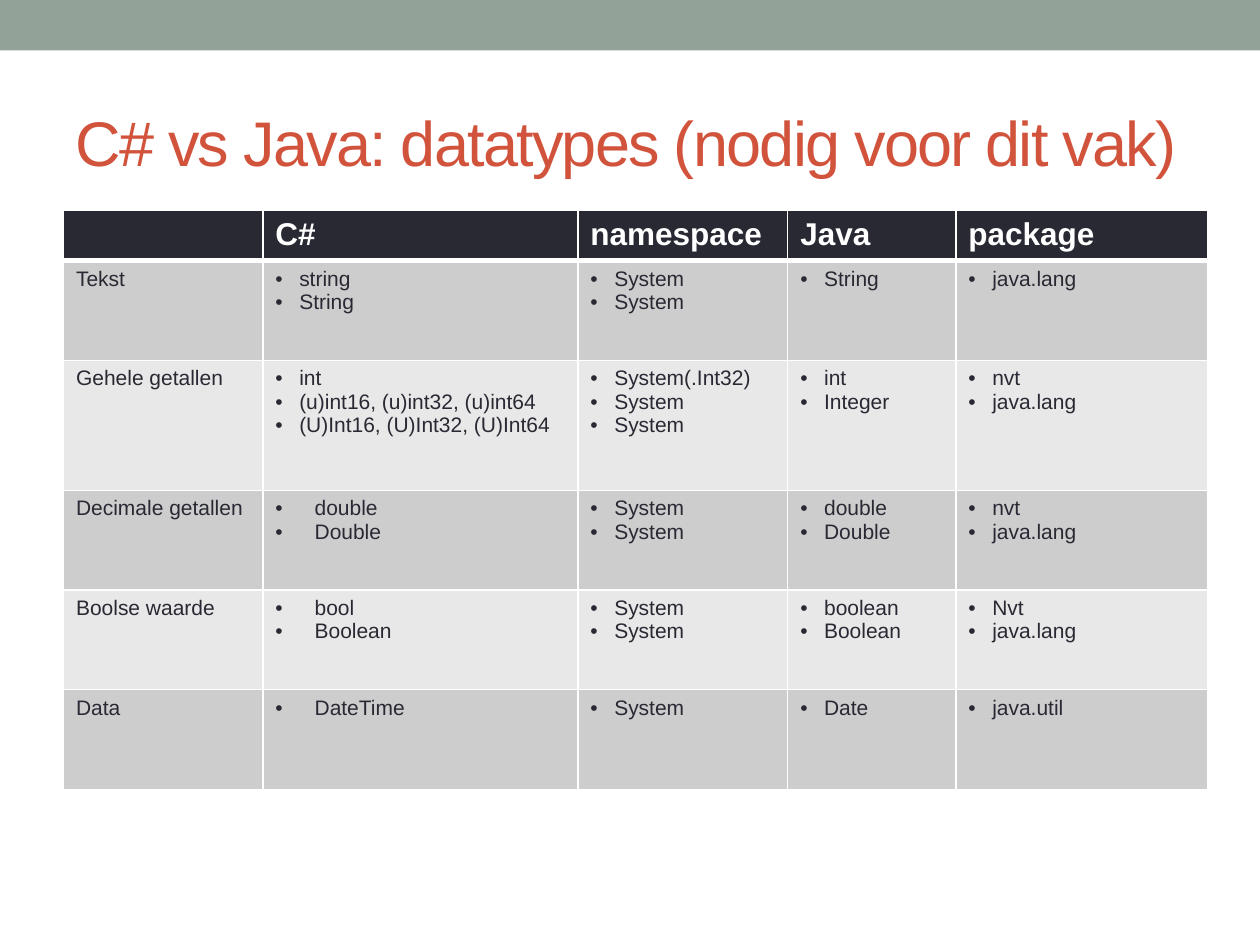
from dataclasses import dataclass

from lxml.etree import SubElement
from pptx import Presentation
from pptx.dml.color import RGBColor
from pptx.enum.shapes import MSO_SHAPE
from pptx.enum.text import MSO_ANCHOR
from pptx.oxml.ns import qn
from pptx.util import Cm, Pt


@dataclass(frozen=True)
class Theme:
    font: str = "Arial"
    band: str = "93A299"
    title: str = "D2533C"
    dark: str = "292934"
    light: str = "FFFFFF"
    row_fills: tuple = ("CDCDCE", "E8E8E8")
    title_size: int = 36
    header_size: int = 18
    body_size: int = 12
    grid_line: int = 1
    header_line: int = 3


HEADERS = ["", "C#", "namespace", "Java", "package"]
ROWS = [
    ["Tekst", ["string", "String"], ["System", "System"], ["String"], ["java.lang"]],
    ["Gehele getallen",
     ["int", "(u)int16, (u)int32, (u)int64", "(U)Int16, (U)Int32, (U)Int64"],
     ["System(.Int32)", "System", "System"], ["int", "Integer"], ["nvt", "java.lang"]],
    ["Decimale getallen", ["double", "Double"], ["System", "System"],
     ["double", "Double"], ["nvt", "java.lang"]],
    ["Boolse waarde", ["bool", "Boolean"], ["System", "System"],
     ["boolean", "Boolean"], ["Nvt", "java.lang"]],
    ["Data", ["DateTime"], ["System"], ["Date"], ["java.util"]],
]
COLUMN_WIDTHS = [4.02, 6.35, 4.23, 3.39, 5.08]
ROW_HEIGHTS = [0.95, 2.01, 2.62, 2.01, 2.01, 2.01]
NARROW_INDENT, WIDE_INDENT = 0.48, 0.79
FIRST_WIDE_ROW = 3


class SlideBuilder:
    def __init__(self, slide, theme):
        self.slide = slide
        self.theme = theme

    def style(self, paragraph, size, color, bold=False):
        font = paragraph.font
        font.name = self.theme.font
        font.size = Pt(size)
        font.bold = bold
        font.color.rgb = RGBColor.from_string(color)

    def band(self, width, height):
        shape = self.slide.shapes.add_shape(MSO_SHAPE.RECTANGLE, 0, 0, width, height)
        shape.shadow.inherit = False
        shape.fill.solid()
        shape.fill.fore_color.rgb = RGBColor.from_string(self.theme.band)
        shape.line.fill.background()

    def title(self, text, left, top, width, height):
        frame = self.slide.shapes.add_textbox(left, top, width, height).text_frame
        frame.word_wrap = True
        frame.vertical_anchor = MSO_ANCHOR.MIDDLE
        paragraph = frame.paragraphs[0]
        paragraph.text = text
        self.style(paragraph, self.theme.title_size, self.theme.title)
        paragraph.font._element.set("spc", "-100")

    def bullet(self, paragraph, indent):
        properties = paragraph._p.get_or_add_pPr()
        properties.set("marL", str(Cm(indent)))
        properties.set("indent", str(-Cm(indent)))
        SubElement(properties, qn("a:buFont")).set("typeface", self.theme.font)
        SubElement(properties, qn("a:buChar")).set("char", "•")

    def cell_box(self, cell, fill, top_line, bottom_line):
        """Give a cell its borders and then its fill, the order the schema asks for."""
        properties = cell._tc.get_or_add_tcPr()
        grid = self.theme.grid_line
        for side, width in zip("LRTB", (grid, grid, top_line, bottom_line)):
            line = SubElement(properties, qn(f"a:ln{side}"), w=str(Pt(width)))
            solid = SubElement(line, qn("a:solidFill"))
            SubElement(solid, qn("a:srgbClr")).set("val", self.theme.light)
        cell.fill.solid()
        cell.fill.fore_color.rgb = RGBColor.from_string(fill)

    def header_cell(self, cell, text):
        theme = self.theme
        self.cell_box(cell, theme.dark, theme.grid_line, theme.header_line)
        cell.text = text
        self.style(cell.text_frame.paragraphs[0], theme.header_size, theme.light, bold=True)

    def body_cell(self, cell, content, row, indent):
        """Write a plain label, or a bulleted list when content is a list."""
        theme = self.theme
        top_line = theme.header_line if row == 1 else theme.grid_line
        self.cell_box(cell, theme.row_fills[(row - 1) % 2], top_line, theme.grid_line)
        is_list = isinstance(content, list)
        cell.text = "\n".join(content) if is_list else content
        for paragraph in cell.text_frame.paragraphs:
            if is_list:
                self.bullet(paragraph, indent)
            self.style(paragraph, theme.body_size, theme.dark)

    def table(self, left, top):
        table = self.slide.shapes.add_table(
            len(ROW_HEIGHTS), len(COLUMN_WIDTHS), left, top,
            Cm(sum(COLUMN_WIDTHS)), Cm(sum(ROW_HEIGHTS))).table
        for column, width in zip(table.columns, COLUMN_WIDTHS):
            column.width = Cm(width)
        for row, height in zip(table.rows, ROW_HEIGHTS):
            row.height = Cm(height)
        for column, text in enumerate(HEADERS):
            self.header_cell(table.cell(0, column), text)
        for row, contents in enumerate(ROWS, start=1):
            for column, content in enumerate(contents):
                wide = column == 1 and row >= FIRST_WIDE_ROW
                indent = WIDE_INDENT if wide else NARROW_INDENT
                self.body_cell(table.cell(row, column), content, row, indent)


def main():
    presentation = Presentation()
    presentation.slide_width = Cm(25.4)
    presentation.slide_height = Cm(19.05)
    slide = presentation.slides.add_slide(presentation.slide_layouts[6])
    builder = SlideBuilder(slide, Theme())
    builder.band(presentation.slide_width, Cm(1.02))
    builder.title("C# vs Java: datatypes (nodig voor dit vak)",
                  Cm(1.27), Cm(1.47), Cm(22.86), Cm(2.74))
    builder.table(Cm(1.28), Cm(4.24))
    presentation.save("out.pptx")


if __name__ == "__main__":
    main()
